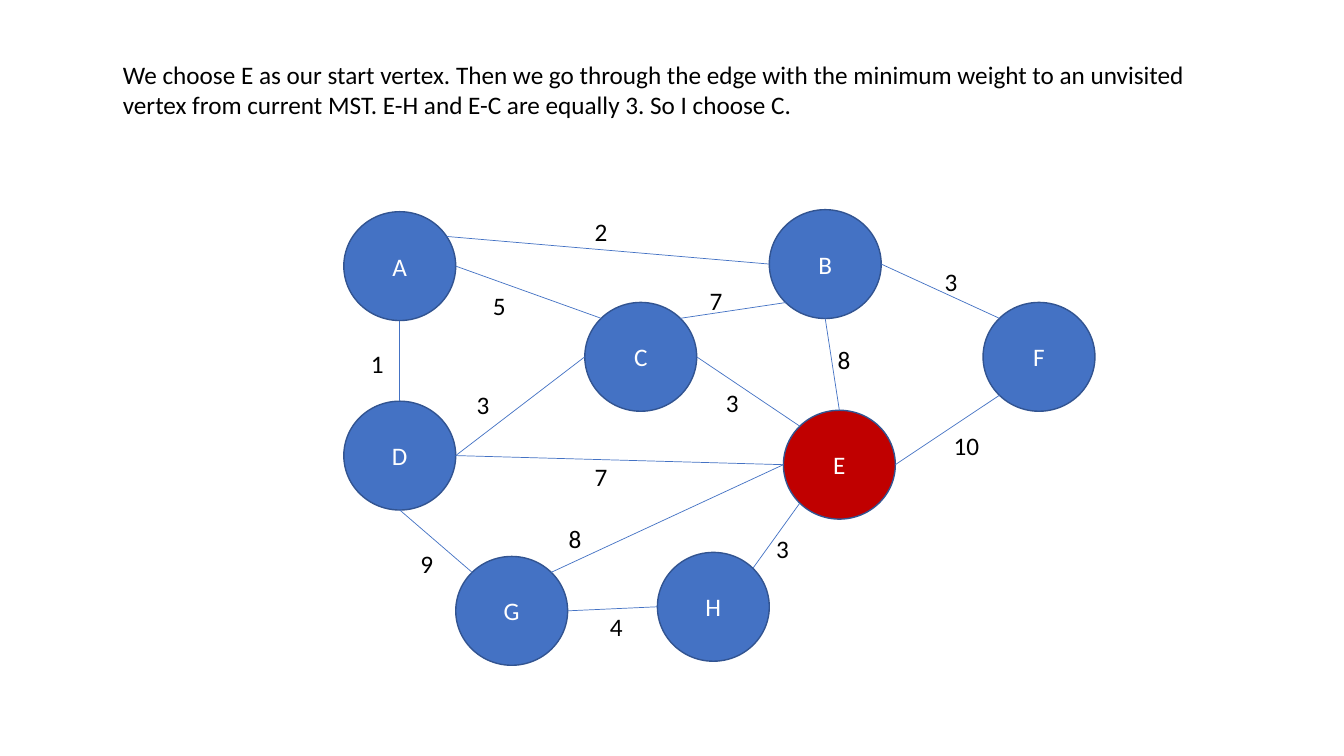
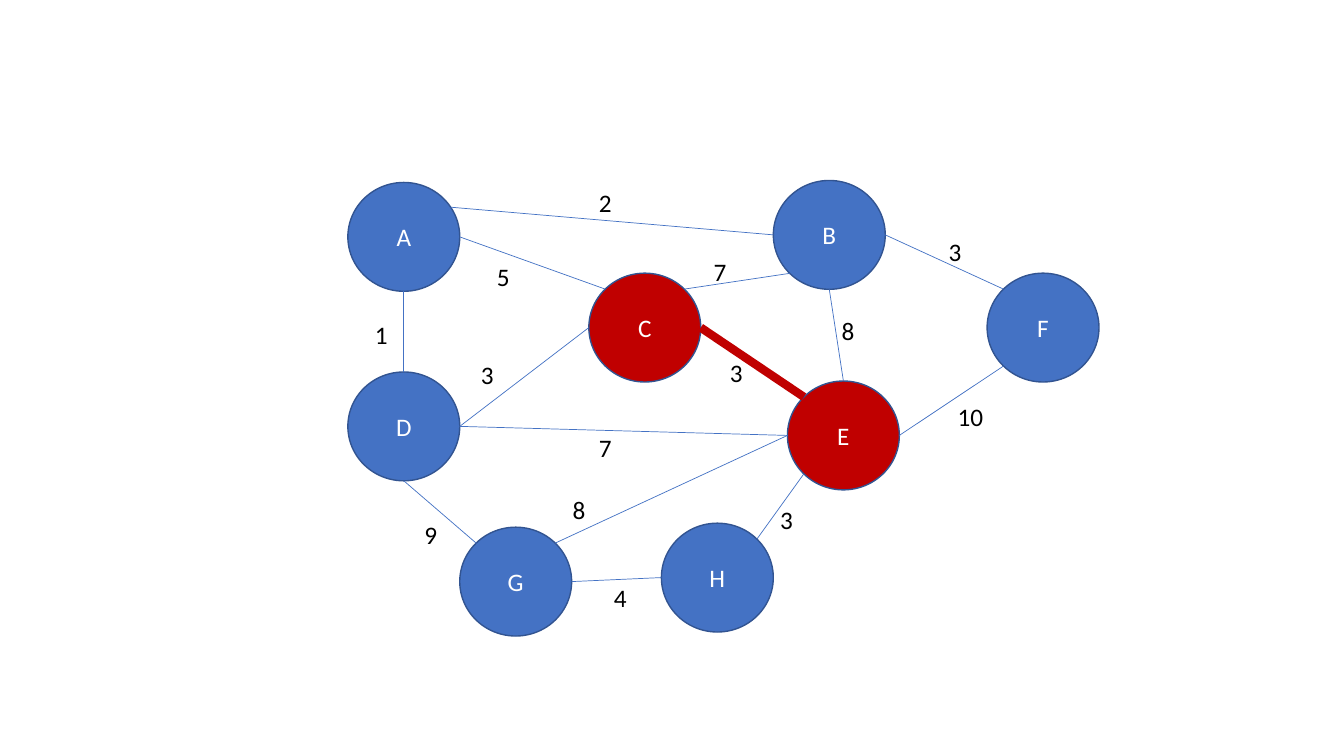
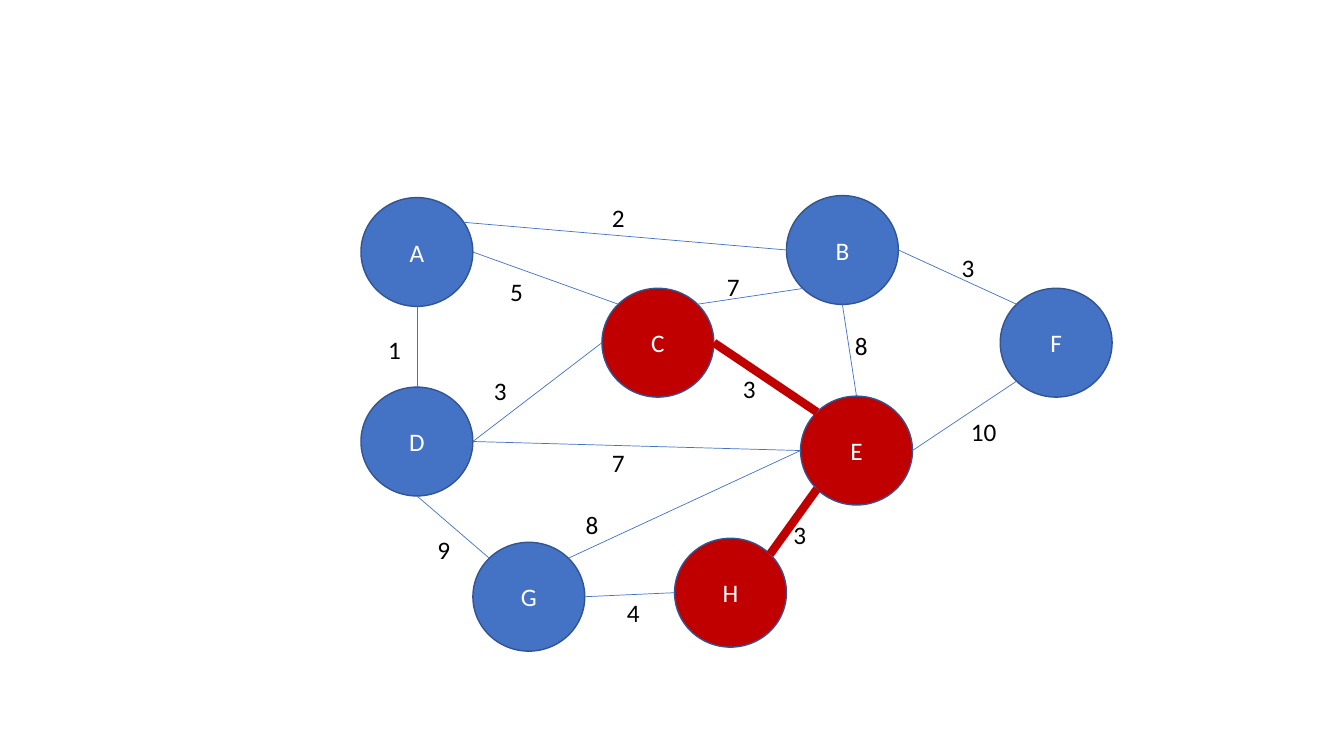
import math

import pptx
import pptx.dml.color
import pptx.enum.shapes
import pptx.enum.text
import pptx.oxml.ns
import pptx.util
from lxml import etree

FONT = "Calibri"
BLUE = "4472C4"
BLUE_OUTLINE = "325491"
RED = "C00000"
WHITE = "FFFFFF"
BLACK = "000000"

SLIDE_WIDTH, SLIDE_HEIGHT = 13.33, 7.5
VERTEX_WIDTH, VERTEX_HEIGHT = 1.11, 1.08
LABEL_HEIGHT = 0.4
START_VERTEX = "E"

# Left and top of each vertex, in inches from the origin of the graph.
VERTICES = {
    "A": (0, 0.02),
    "D": (0, 1.9),
    "G": (1.11, 3.44),
    "C": (2.39, 0.92),
    "B": (4.22, 0),
    "E": (4.36, 1.99),
    "H": (3.11, 3.4),
    "F": (6.34, 0.92),
}

# Start, angle on its rim, end, angle on its rim, weight, place of the weight.
# Angles run counterclockwise from the right, in degrees.
EDGES = [
    ("A", 0, "C", 135, 5, (1.38, 0.75)),
    ("A", 33, "B", 180, 2, (2.39, 0.02)),
    ("A", 270, "D", 90, 1, (0.17, 1.33)),
    ("D", 270, "G", 135, 9, (0.66, 3.31)),
    ("G", 0, "H", 180, 4, (2.54, 3.94)),
    ("H", 45, "E", 225, 3, (4.19, 3.16)),
    ("E", 0, "F", 225, 10, (5.95, 2.14)),
    ("B", 0, "F", 135, 3, (5.86, 0.51)),
    ("B", 270, "E", 90, 8, (4.8, 1.29)),
    ("D", 0, "C", 180, 3, (1.22, 1.73)),
    ("C", 45, "B", 225, 7, (3.53, 0.7)),
    ("D", 0, "E", 180, 7, (2.39, 2.45)),
    ("C", 0, "E", 135, 3, (3.69, 1.71)),
    ("G", 45, "E", 180, 8, (2.13, 3.06)),
]

# Origin of the graph, edges of the tree so far, explanation.
STEPS = [
    (
        (3.41, 2.08),
        [],
        "We choose E as our start vertex. Then we go through the edge with the "
        "minimum weight to an unvisited vertex from current MST. E-H and E-C are "
        "equally 3. So I choose C.",
    ),
    ((3.45, 1.79), ["CE"], None),
    ((3.58, 1.94), ["CE", "HE"], None),
]


def color(value):
    return pptx.dml.color.RGBColor.from_string(value)


def inches(*lengths):
    return [pptx.util.Inches(length) for length in lengths]


def add_run(paragraph, text, text_color):
    run = paragraph.add_run()
    run.text = text
    run.font.name = FONT
    run.font.size = pptx.util.Pt(18)
    run.font.color.rgb = color(text_color)


def add_text(slide, left, top, width, height, text):
    box = slide.shapes.add_textbox(*inches(left, top, width, height))
    box.text_frame.word_wrap = True
    box.text_frame.auto_size = pptx.enum.text.MSO_AUTO_SIZE.SHAPE_TO_FIT_TEXT
    add_run(box.text_frame.paragraphs[0], text, BLACK)


def add_vertex(slide, name, left, top, fill):
    vertex = slide.shapes.add_shape(
        pptx.enum.shapes.MSO_SHAPE.OVAL,
        *inches(left, top, VERTEX_WIDTH, VERTEX_HEIGHT),
    )
    vertex.shadow.inherit = False
    vertex.fill.solid()
    vertex.fill.fore_color.rgb = color(fill)
    vertex.line.color.rgb = color(BLUE_OUTLINE)
    vertex.line.width = pptx.util.Pt(1)
    vertex.text_frame.vertical_anchor = pptx.enum.text.MSO_ANCHOR.MIDDLE
    paragraph = vertex.text_frame.paragraphs[0]
    paragraph.alignment = pptx.enum.text.PP_ALIGN.CENTER
    add_run(paragraph, name, WHITE)
    return vertex


def rim_point(vertex, angle):
    radians = math.radians(angle)
    x = vertex.left + vertex.width / 2 * (1 + math.cos(radians))
    y = vertex.top + vertex.height / 2 * (1 - math.sin(radians))
    return round(x), round(y)


def glue(connector, tag, vertex, angle):
    """Tie a connector's end to the vertex if the angle meets one of its 8 sites."""
    if angle % 45 == 0:
        properties = connector._element.nvCxnSpPr.cNvCxnSpPr
        site = (angle // 45 - 2) % 8
        etree.SubElement(
            properties, pptx.oxml.ns.qn(tag), id=str(vertex.shape_id), idx=str(site)
        )


def add_edge(slide, start, start_angle, end, end_angle, in_tree):
    connector = slide.shapes.add_connector(
        pptx.enum.shapes.MSO_CONNECTOR.STRAIGHT,
        *rim_point(start, start_angle),
        *rim_point(end, end_angle),
    )
    glue(connector, "a:stCxn", start, start_angle)
    glue(connector, "a:endCxn", end, end_angle)
    connector.line.color.rgb = color(RED if in_tree else BLUE)
    connector.line.width = pptx.util.Pt(6 if in_tree else 0.5)
    etree.SubElement(connector._element.spPr, pptx.oxml.ns.qn("a:effectLst"))


def add_graph(slide, origin, tree):
    origin_x, origin_y = origin
    visited = {START_VERTEX}.union(*tree)
    vertices = {
        name: add_vertex(
            slide, name, origin_x + x, origin_y + y, RED if name in visited else BLUE
        )
        for name, (x, y) in VERTICES.items()
    }
    for start, start_angle, end, end_angle, _, _ in EDGES:
        add_edge(
            slide, vertices[start], start_angle, vertices[end], end_angle,
            start + end in tree,
        )
    for *_, weight, (x, y) in EDGES:
        text = str(weight)
        width = 0.16 + 0.23 * len(text)
        add_text(slide, origin_x + x, origin_y + y, width, LABEL_HEIGHT, text)


def main():
    presentation = pptx.Presentation()
    presentation.slide_width, presentation.slide_height = inches(
        SLIDE_WIDTH, SLIDE_HEIGHT
    )
    blank_layout = presentation.slide_layouts.get_by_name("Blank")
    for origin, tree, explanation in STEPS:
        slide = presentation.slides.add_slide(blank_layout)
        add_graph(slide, origin, tree)
        if explanation:
            add_text(slide, 1.12, 0.54, 11.19, 0.71, explanation)
    presentation.save("out.pptx")


if __name__ == "__main__":
    main()
